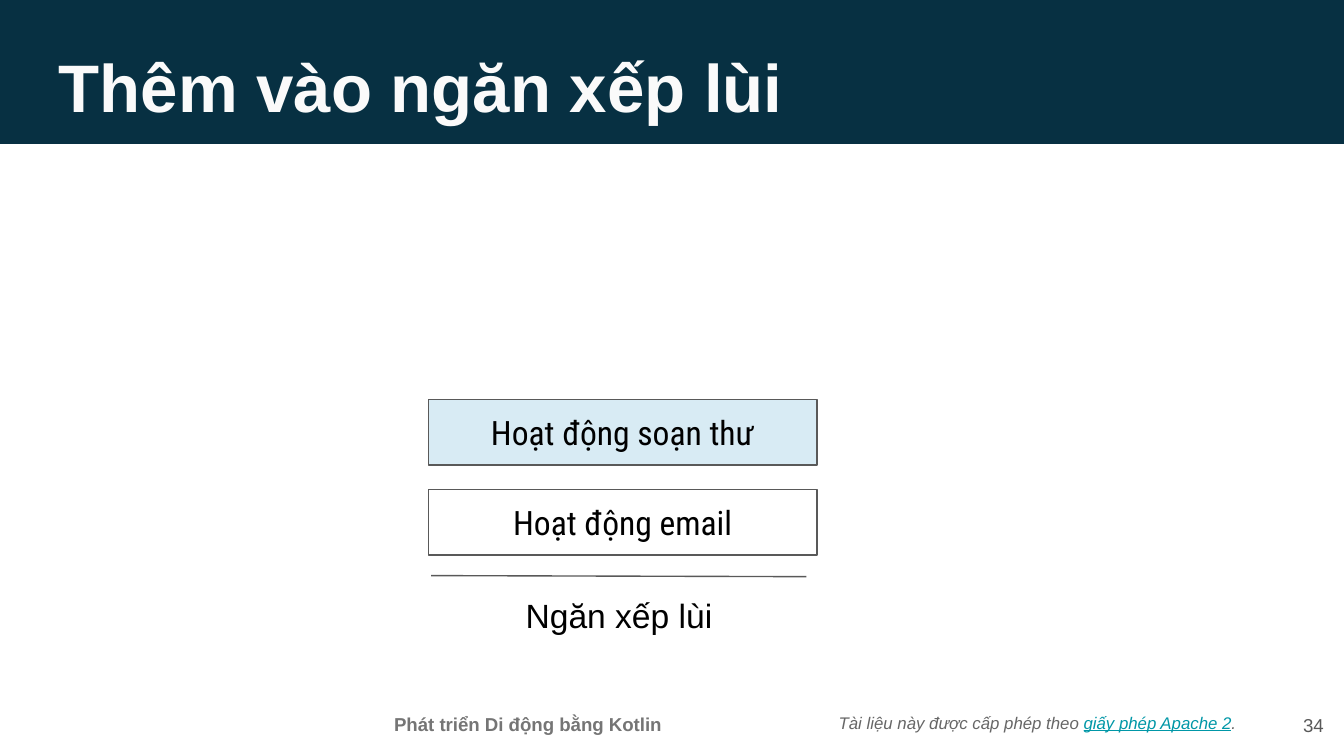
from lxml import etree
from pptx import Presentation
from pptx.dml.color import RGBColor
from pptx.enum.shapes import MSO_CONNECTOR, MSO_SHAPE
from pptx.enum.text import MSO_ANCHOR, MSO_AUTO_SIZE, PP_ALIGN
from pptx.oxml.ns import qn
from pptx.util import Cm, Pt

LEFT, MID, RIGHT = PP_ALIGN.LEFT, PP_ALIGN.CENTER, PP_ALIGN.RIGHT
TOP, HALF = MSO_ANCHOR.TOP, MSO_ANCHOR.MIDDLE
RECT, LINE = MSO_SHAPE.RECTANGLE, MSO_CONNECTOR.STRAIGHT

NAVY = RGBColor(0x07, 0x30, 0x42)
PALE = RGBColor(0xFA, 0xFA, 0xFA)
WHITE = RGBColor(0xFF, 0xFF, 0xFF)
BLACK = RGBColor(0, 0, 0)
BLUE = RGBColor(0x0E, 0x87, 0xC0)
TEAL = RGBColor(0, 0x97, 0xA7)
DARK = RGBColor(0x59, 0x59, 0x59)
GREY = RGBColor(0x66, 0x66, 0x66)
SOFT = RGBColor(0x75, 0x75, 0x75)

SANS, SLIM = "Arial", "Roboto Condensed"
INSET = 0.25

TITLE = "Thêm vào ngăn xếp lùi"
STACK = [("Hoạt động email", WHITE, 100), ("Hoạt động soạn thư", BLUE, 16)]
BASE = {"name": SANS, "size": Pt(18), "color": BLACK}
NOTE = {"name": SANS, "size": Pt(9), "color": GREY, "italic": True}
LABELS = [
    ((15.6, 13.06, 8.61, 1.19), LEFT, HALF, [
        ("Tài liệu này được cấp phép theo ", NOTE),
        ("giấy phép Apache 2", {**NOTE, "color": TEAL, "underline": True}),
        (".", NOTE)]),
    ((6.38, 13.23, 7.19, 0.81), MID, TOP, [
        ("Phát triển Di động bằng Kotlin",
         {**BASE, "size": Pt(10), "color": SOFT, "bold": True})]),
    ((23.75, 13.16, 1.52, 1.09), RIGHT, HALF, [
        ("34", {**BASE, "size": Pt(10), "color": DARK})]),
    ((8.59, 11.3, 6.22, 0.66), MID, HALF, [("Ngăn xếp lùi", BASE)]),
]
BOX_X, BOX_Y, BOX_W, BOX_H, STEP = 8.1, 9.25, 7.34, 1.24, 1.7


def write(shape, runs, align, anchor, top=INSET):
    """Fill a shape's text frame with formatted runs."""
    frame = shape.text_frame
    form = {"word_wrap": True, "auto_size": MSO_AUTO_SIZE.NONE,
            "vertical_anchor": anchor, "margin_left": Cm(INSET),
            "margin_right": Cm(INSET), "margin_top": Cm(top),
            "margin_bottom": Cm(INSET)}
    for key, value in form.items():
        setattr(frame, key, value)
    para = frame.paragraphs[0]
    para.alignment = align
    for text, style in runs:
        run = para.add_run()
        run.text = text
        for key, value in style.items():
            if key == "color":
                run.font.color.rgb = value
            else:
                setattr(run.font, key, value)


def add_rect(slide, place, fill, alpha=100):
    """Add a flat rectangle without an outline."""
    rect = slide.shapes.add_shape(RECT, *map(Cm, place))
    rect.shadow.inherit = False
    rect.fill.solid()
    rect.fill.fore_color.rgb = fill
    rect.line.fill.background()
    if alpha < 100:
        tint = rect.fill._xPr.find(qn("a:solidFill"))[0]
        etree.SubElement(tint, qn("a:alpha")).set("val", str(alpha * 1000))
    return rect


def stroke(shape):
    """Give a shape the thin grey line."""
    shape.line.color.rgb = DARK
    shape.line.width = Pt(0.75)


def main():
    """Build and save the slide."""
    deck = Presentation()
    deck.slide_width, deck.slide_height = Cm(25.4), Cm(14.29)
    slide = deck.slides.add_slide(deck.slide_layouts[5])

    banner = add_rect(slide, (-0.03, -0.1, 25.43, 2.82), NAVY)
    title = slide.shapes.title
    banner._element.addnext(title._element)
    title.left, title.top, title.width, title.height = map(
        Cm, (0.86, 0.48, 23.67, 1.6))
    head = {"name": SANS, "size": Pt(36), "color": PALE, "bold": True}
    write(title, [(TITLE, head)], LEFT, TOP, 0.38)

    for place, align, anchor, runs in LABELS:
        write(slide.shapes.add_textbox(*map(Cm, place)), runs, align, anchor)

    floor = slide.shapes.add_connector(
        LINE, *map(Cm, (8.15, 10.88, 15.24, 10.9)))
    stroke(floor)
    etree.SubElement(floor._element.spPr, qn("a:effectLst"))

    for level, (text, fill, alpha) in enumerate(STACK):
        place = (BOX_X, BOX_Y - level * STEP, BOX_W, BOX_H)
        box = add_rect(slide, place, fill, alpha)
        stroke(box)
        write(box, [(text, {**BASE, "name": SLIM})], MID, HALF)

    deck.save("out.pptx")


if __name__ == "__main__":
    main()
